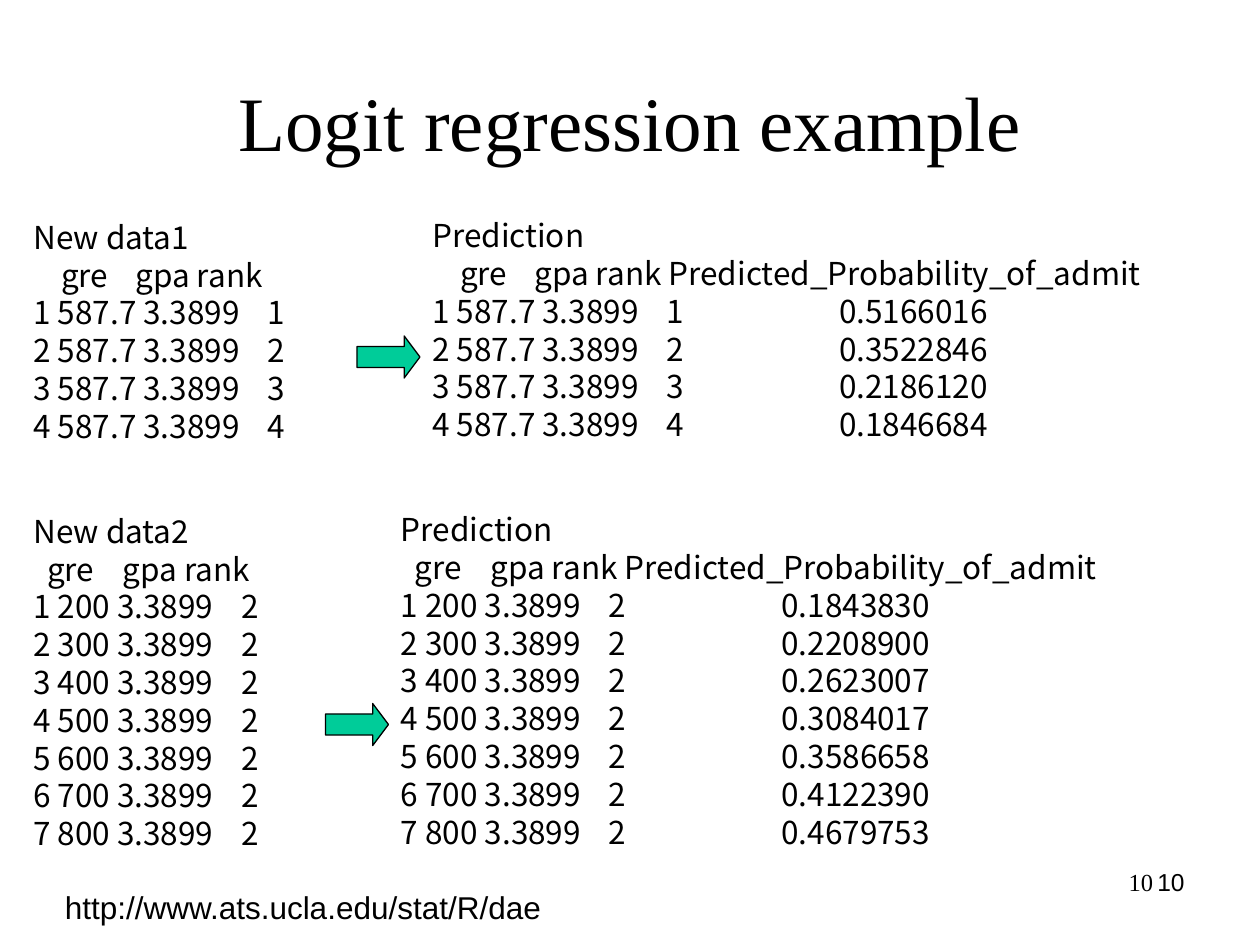
from dataclasses import dataclass

from lxml import etree
from pptx import Presentation
from pptx import util as u
from pptx.dml.color import RGBColor
from pptx.enum import shapes, text
from pptx.oxml import ns


@dataclass
class Theme:
    ink: str = "000000"
    mint: str = "00CC99"
    paper: str = "FFFFFF"
    serif: str = "Times New Roman"
    sans: str = "Arial"
    data: str = "Noto Sans CJK KR"
    head: int = 44
    body: int = 18
    small: int = 14
    pitch: float = 21.6


class Deck:
    def __init__(self, theme, cols=120, rows=90):
        self.theme = theme
        self.prs = Presentation()
        self.prs.slide_width, self.prs.slide_height = u.Inches(10), u.Inches(7.5)
        self.dx = self.prs.slide_width / cols
        self.dy = self.prs.slide_height / rows
        self.slide = self.prs.slides.add_slide(self.prs.slide_layouts[5])
        fill = self.slide.background.fill
        fill.solid()
        fill.fore_color.rgb = RGBColor.from_string(theme.paper)

    def place(self, x, y, w, h):
        return [round(n) for n in (x * self.dx, y * self.dy, w * self.dx, h * self.dy)]

    def style(self, para, face, size, align):
        para.alignment = align
        for run in para.runs:
            run.font.name = face
            run.font.size = u.Pt(size)
            run.font.color.rgb = RGBColor.from_string(self.theme.ink)

    def title(self, words, *spot):
        box = self.slide.shapes.title
        box.left, box.top, box.width, box.height = self.place(*spot)
        frame = box.text_frame
        frame.text = words
        frame.vertical_anchor = text.MSO_ANCHOR.MIDDLE
        self.style(frame.paragraphs[0], self.theme.serif, self.theme.head,
                   text.PP_ALIGN.CENTER)

    def label(self, words, face, size, *spot, align=text.PP_ALIGN.LEFT):
        frame = self.slide.shapes.add_textbox(*self.place(*spot)).text_frame
        frame.word_wrap = True
        frame.text = words
        for para in frame.paragraphs:
            self.style(para, face, size, align)
        return frame

    def stops(self, para, spots):
        tabs = etree.SubElement(para._p.get_or_add_pPr(), ns.qn("a:tabLst"))
        for spot in spots:
            etree.SubElement(tabs, ns.qn("a:tab"), pos=str(u.Inches(spot)), algn="l")

    def listing(self, lines, top, body, *spot):
        frame = self.label("\n".join(lines), self.theme.data, self.theme.body, *spot)
        for i, para in enumerate(frame.paragraphs):
            self.stops(para, top if i == 1 else body)
            para.line_spacing = u.Pt(self.theme.pitch)

    def arrow(self, *spot):
        shape = self.slide.shapes.add_shape(shapes.MSO_SHAPE.RIGHT_ARROW, *self.place(*spot))
        shape.adjustments[0], shape.adjustments[1] = 0.5, 0.375
        shape.shadow.inherit = False
        shape.fill.solid()
        shape.fill.fore_color.rgb = RGBColor.from_string(self.theme.mint)
        shape.line.color.rgb = RGBColor.from_string(self.theme.ink)
        shape.line.width = u.Pt(0.75)

    def pair(self, name, rows, probs, top, body, y, x, mid):
        head = "\tgre\tgpa rank"
        lines = [f"{i} {gre} 3.3899\t{rank}" for i, (gre, rank) in enumerate(rows, 1)]
        full = [f"{line}\t{prob}" for line, prob in zip(lines, probs)]
        high = 1.2 + 3.6 * (len(rows) + 2)
        self.listing([name, head] + lines, top, body, 2, y + 0.15, 33, high)
        self.listing(["Prediction", head + " Predicted_Probability_of_admit"] + full,
                     top, body, x, y, 118 - x, high)
        self.arrow(x - 6, mid, 6, 4)


def main():
    theme = Theme()
    deck = Deck(theme)
    right = text.PP_ALIGN.RIGHT
    deck.label("10", theme.sans, theme.small, 86, 82, 28, 6.2, align=right)
    deck.title("Logit regression example", 6, 4, 108, 15)
    deck.label("http://www.ats.ucla.edu/stat/R/dae", theme.sans, theme.body,
               5, 84, 113, 4.8)
    deck.pair("New data1", [("587.7", rank) for rank in range(1, 5)],
              ["0.5166016", "0.3522846", "0.2186120", "0.1846684"],
              (0.22, 0.81), (1.86, 3.23), 20, 40, 32)
    deck.pair("New data2", [(gre, 2) for gre in range(200, 900, 100)],
              ["0.1843830", "0.2208900", "0.2623007", "0.3084017",
               "0.3586658", "0.4122390", "0.4679753"],
              (0.11, 0.71), (1.65, 3.02), 48, 37, 67)
    deck.label("10", theme.serif, theme.small, 86, 82, 25, 6, align=right)
    deck.prs.save("out.pptx")


if __name__ == "__main__":
    main()
